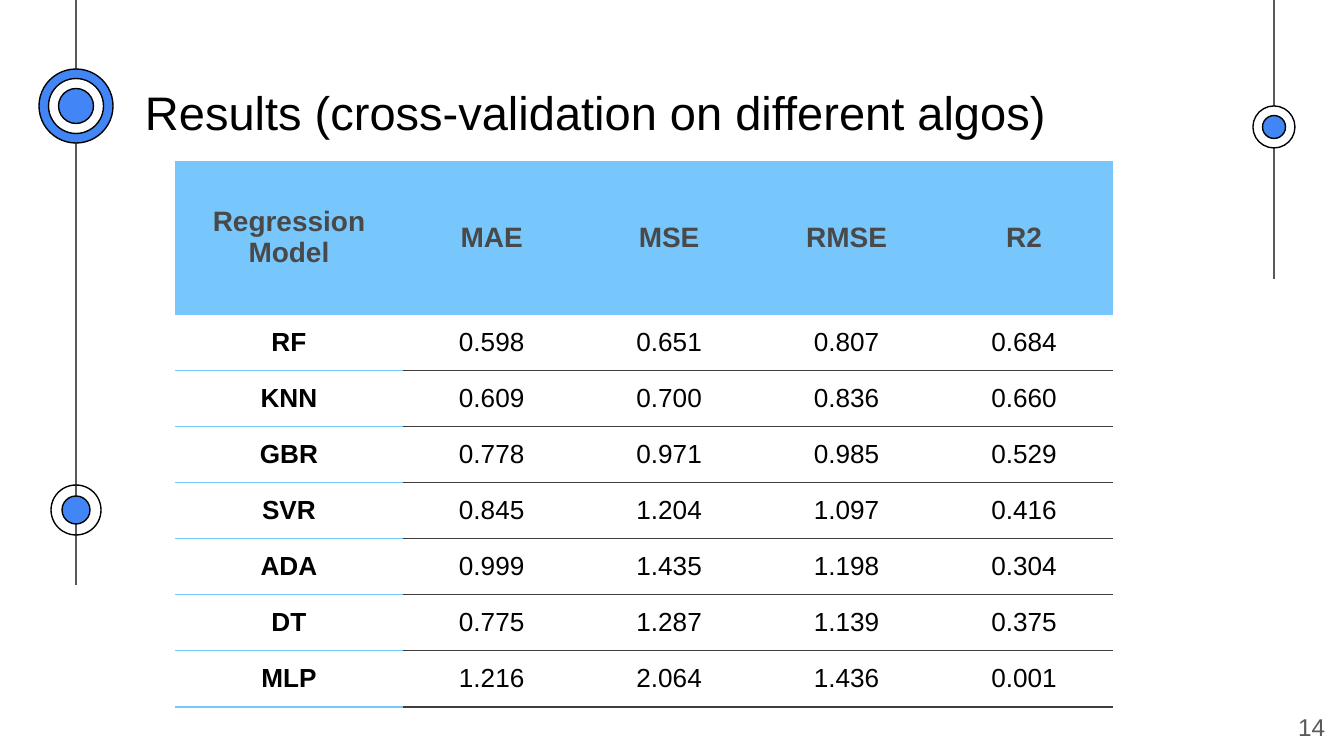
from dataclasses import dataclass

from lxml import etree
from pptx import Presentation
from pptx.dml.color import RGBColor
from pptx.enum.shapes import MSO_CONNECTOR, MSO_SHAPE
from pptx.enum.text import MSO_ANCHOR, PP_ALIGN
from pptx.oxml.ns import qn
from pptx.util import Emu, Pt

STRAIGHT = MSO_CONNECTOR.STRAIGHT
OVAL = MSO_SHAPE.OVAL
LEFT, CENTER, RIGHT = PP_ALIGN.LEFT, PP_ALIGN.CENTER, PP_ALIGN.RIGHT
MIDDLE, BOTTOM = MSO_ANCHOR.MIDDLE, MSO_ANCHOR.BOTTOM

WIDTH, HEIGHT = 1344, 756
EMU_PER_PX = 9144000 / WIDTH
NO_STYLE = "{2D5ABB26-0587-4C30-8999-92F81FD0307C}"


@dataclass(frozen=True)
class Theme:
    font: str = "Arial"
    black: str = "000000"
    white: str = "FFFFFF"
    blue: str = "4285F4"
    sky: str = "77C6FC"
    gray: str = "595959"
    header: str = "494949"
    rule: str = "3D3D3D"
    title_size: float = 25.2
    header_size: int = 15
    body_size: int = 14
    number_size: int = 13
    line: float = 0.75


THEME = Theme()

HEADERS = ["Regression Model", "MAE", "MSE", "RMSE", "R2"]
RESULTS = [
    ["RF", "0.598", "0.651", "0.807", "0.684"],
    ["KNN", "0.609", "0.700", "0.836", "0.660"],
    ["GBR", "0.778", "0.971", "0.985", "0.529"],
    ["SVR", "0.845", "1.204", "1.097", "0.416"],
    ["ADA", "0.999", "1.435", "1.198", "0.304"],
    ["DT", "0.775", "1.287", "1.139", "0.375"],
    ["MLP", "1.216", "2.064", "1.436", "0.001"],
]

# Each timeline: centre x, line end, and its nodes as (centre y, rings)
# with rings as (diameter, fill) from the outside in
TIMELINES = [
    (76, 585, [
        (106, [(74, THEME.blue), (55, THEME.white), (35, THEME.blue)]),
        (510, [(50, None), (28, THEME.blue)]),
    ]),
    (1274, 279, [(127, [(42, THEME.white), (23, THEME.blue)])]),
]


def px(n):
    return Emu(round(n * EMU_PER_PX))


def rgb(color):
    return RGBColor.from_string(color)


def write(tf, text, size, color=THEME.black, bold=False, align=LEFT):
    p = tf.paragraphs[0]
    p.alignment = align
    r = p.add_run()
    r.text = text
    r.font.name = THEME.font
    r.font.size = Pt(size)
    r.font.bold = bold
    r.font.color.rgb = rgb(color)


def add_text(s, box, text, anchor, **fmt):
    tf = s.shapes.add_textbox(*map(px, box)).text_frame
    tf.word_wrap = True
    tf.vertical_anchor = anchor
    tf.margin_left = tf.margin_right = px(13)
    tf.margin_top = tf.margin_bottom = px(13)
    write(tf, text, **fmt)


def add_vertical_line(s, x, bottom):
    line = s.shapes.add_connector(STRAIGHT, px(x), 0, px(x), px(bottom))
    line.line.color.rgb = rgb(THEME.gray)
    line.line.width = Pt(THEME.line)
    etree.SubElement(line._element.spPr, qn("a:effectLst"))


def add_ring(s, x, y, diameter, fill):
    d = px(diameter)
    sp = s.shapes.add_shape(OVAL, px(x) - d // 2, px(y) - d // 2, d, d)
    sp.shadow.inherit = False
    sp.line.color.rgb = rgb(THEME.black)
    sp.line.width = Pt(THEME.line)
    if fill:
        sp.fill.solid()
        sp.fill.fore_color.rgb = rgb(fill)
    else:
        sp.fill.background()


def add_timeline(s, x, bottom, nodes):
    add_vertical_line(s, x, bottom)
    for y, rings in nodes:
        for diameter, fill in rings:
            add_ring(s, x, y, diameter, fill)


def set_bottom_border(cell, color):
    tc_pr = cell._tc.get_or_add_tcPr()
    ln = etree.SubElement(tc_pr, qn("a:lnB"), w=str(Pt(THEME.line)))
    fill = etree.SubElement(ln, qn("a:solidFill"))
    etree.SubElement(fill, qn("a:srgbClr"), val=color)


def fill_cell(cell, text, fill, border, **fmt):
    set_bottom_border(cell, border)
    cell.fill.solid()
    cell.fill.fore_color.rgb = rgb(fill)
    cell.vertical_anchor = MIDDLE
    cell.margin_left = cell.margin_right = px(13)
    cell.margin_top = cell.margin_bottom = px(8)
    write(cell.text_frame, text, align=CENTER, **fmt)


def add_results_table(s):
    frame = s.shapes.add_table(len(RESULTS) + 1, len(HEADERS),
                               px(175), px(161), px(938), px(546))
    table = frame.table
    table.first_row = table.horz_banding = False
    table._tbl.tblPr.find(qn("a:tableStyleId")).text = NO_STYLE

    # First column and header row are larger; the rest share equally
    for i, column in enumerate(table.columns):
        column.width = px(710) // 4 if i else px(228)
    for i, row in enumerate(table.rows):
        row.height = px(393) // len(RESULTS) if i else px(153)

    for c, text in enumerate(HEADERS):
        fill_cell(table.cell(0, c), text, THEME.sky, THEME.sky,
                  size=THEME.header_size, color=THEME.header, bold=True)
    for r, values in enumerate(RESULTS, start=1):
        for c, text in enumerate(values):
            border = THEME.rule if c else THEME.sky
            fill_cell(table.cell(r, c), text, THEME.white, border,
                      size=THEME.body_size, bold=c == 0)


def main():
    prs = Presentation()
    prs.slide_width, prs.slide_height = px(WIDTH), px(HEIGHT)
    s = prs.slides.add_slide(prs.slide_layouts[6])

    # Side decorations
    for timeline in TIMELINES:
        add_timeline(s, *timeline)

    # Title and page number
    add_text(s, (132, 68, 1039, 85),
             "Results (cross-validation on different algos)", BOTTOM,
             size=THEME.title_size)
    add_text(s, (1258, 698, 80, 58), "14", MIDDLE,
             size=THEME.number_size, color=THEME.gray, align=RIGHT)

    # Model comparison
    add_results_table(s)
    prs.save("out.pptx")


if __name__ == "__main__":
    main()
